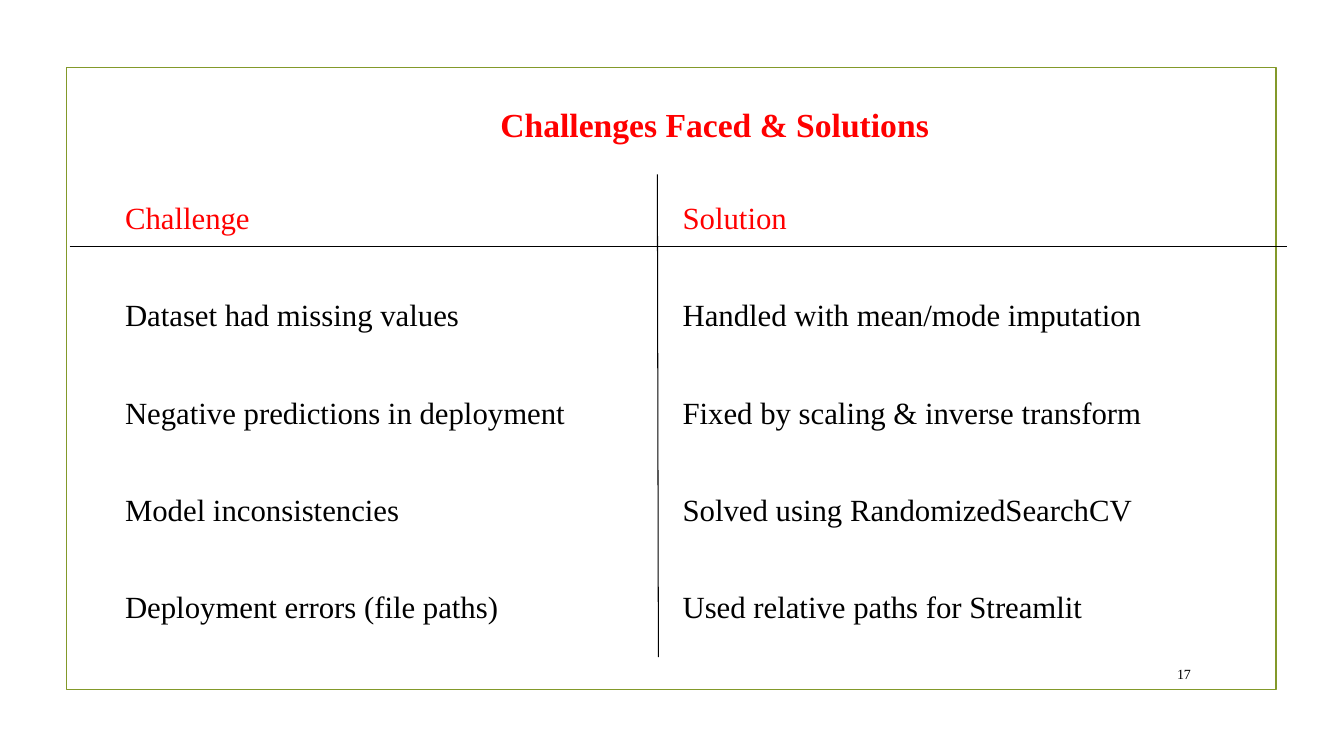
from lxml import etree
from pptx import Presentation
from pptx.dml.color import RGBColor
from pptx.enum.shapes import MSO_CONNECTOR, MSO_SHAPE
from pptx.enum.text import MSO_ANCHOR, MSO_AUTO_SIZE, PP_ALIGN
from pptx.oxml.ns import qn
from pptx.util import Inches, Pt

RED = RGBColor(0xFF, 0x00, 0x00)
BLACK = RGBColor(0x00, 0x00, 0x00)
OLIVE = RGBColor(0x83, 0x99, 0x2A)

ROWS = [
    ("Challenge", "Solution"),
    ("Dataset had missing values", "Handled with mean/mode imputation"),
    ("Negative predictions in deployment", "Fixed by scaling & inverse transform"),
    ("Model inconsistencies", "Solved using RandomizedSearchCV"),
    ("Deployment errors (file paths)", "Used relative paths for Streamlit"),
]


class SlideBuilder:
    font_name = "Times New Roman"

    def __init__(self, deck):
        self.page = deck.slides.add_slide(deck.slide_layouts[5])

    def set_text(self, frame, text, size, color, align=PP_ALIGN.LEFT, bold=False):
        para = frame.paragraphs[0]
        para.text = text
        para.alignment = align
        para.font.name = self.font_name
        para.font.size = Pt(size)
        para.font.bold = bold
        para.font.color.rgb = color

    def frame(self, left, top, width, height):
        box = self.page.shapes.add_shape(
            MSO_SHAPE.RECTANGLE, Inches(left), Inches(top), Inches(width), Inches(height))
        box.shadow.inherit = False
        box.fill.background()
        box.line.color.rgb = OLIVE
        box.line.width = Pt(1.25)

    def title(self, text, left, top, width, height):
        box = self.page.shapes.title
        box.left, box.top = Inches(left), Inches(top)
        box.width, box.height = Inches(width), Inches(height)
        box.text_frame.auto_size = MSO_AUTO_SIZE.NONE
        box.text_frame.vertical_anchor = MSO_ANCHOR.TOP
        self.set_text(box.text_frame, text, 24, RED, PP_ALIGN.CENTER, bold=True)

    def page_number(self, text, left, top, width, height):
        box = self.page.shapes.add_textbox(
            Inches(left), Inches(top), Inches(width), Inches(height))
        box.text_frame.word_wrap = True
        box.text_frame.vertical_anchor = MSO_ANCHOR.MIDDLE
        self.set_text(box.text_frame, text, 10, BLACK, PP_ALIGN.RIGHT)

    def table(self, rows, left, top, column_widths, height):
        table = self.page.shapes.add_table(
            len(rows), len(column_widths), Inches(left), Inches(top),
            Inches(sum(column_widths)), Inches(height)).table
        table.first_row = False
        table.horz_banding = False
        for column, width in zip(table.columns, column_widths):
            column.width = Inches(width)
        for row_index, row in enumerate(rows):
            for column_index, text in enumerate(row):
                cell = table.cell(row_index, column_index)
                cell.fill.background()
                cell.vertical_anchor = MSO_ANCHOR.MIDDLE
                self.set_text(cell.text_frame, text, 22, BLACK if row_index else RED)

    def line(self, *ends):
        connector = self.page.shapes.add_connector(
            MSO_CONNECTOR.STRAIGHT, *(Inches(value) for value in ends))
        connector.line.color.rgb = BLACK
        connector.line.width = Pt(0.75)
        etree.SubElement(connector._element.spPr, qn("a:effectLst"))


def main():
    deck = Presentation()
    deck.slide_width, deck.slide_height = Inches(13.33), Inches(7.5)
    slide = SlideBuilder(deck)
    slide.frame(0.66, 0.67, 12, 6.17)
    slide.page_number("17", 11.32, 6.53, 0.59, 0.31)
    slide.title("Challenges Faced & Solutions ", 0.93, 0.98, 12.4, 0.5)
    slide.table(ROWS, 1.14, 1.69, (5.53, 5.25), 4.83)
    slide.line(6.52, 1.73, 6.53, 6.52)
    slide.line(0.69, 2.45, 12.76, 2.45)
    deck.save("out.pptx")


if __name__ == "__main__":
    main()
